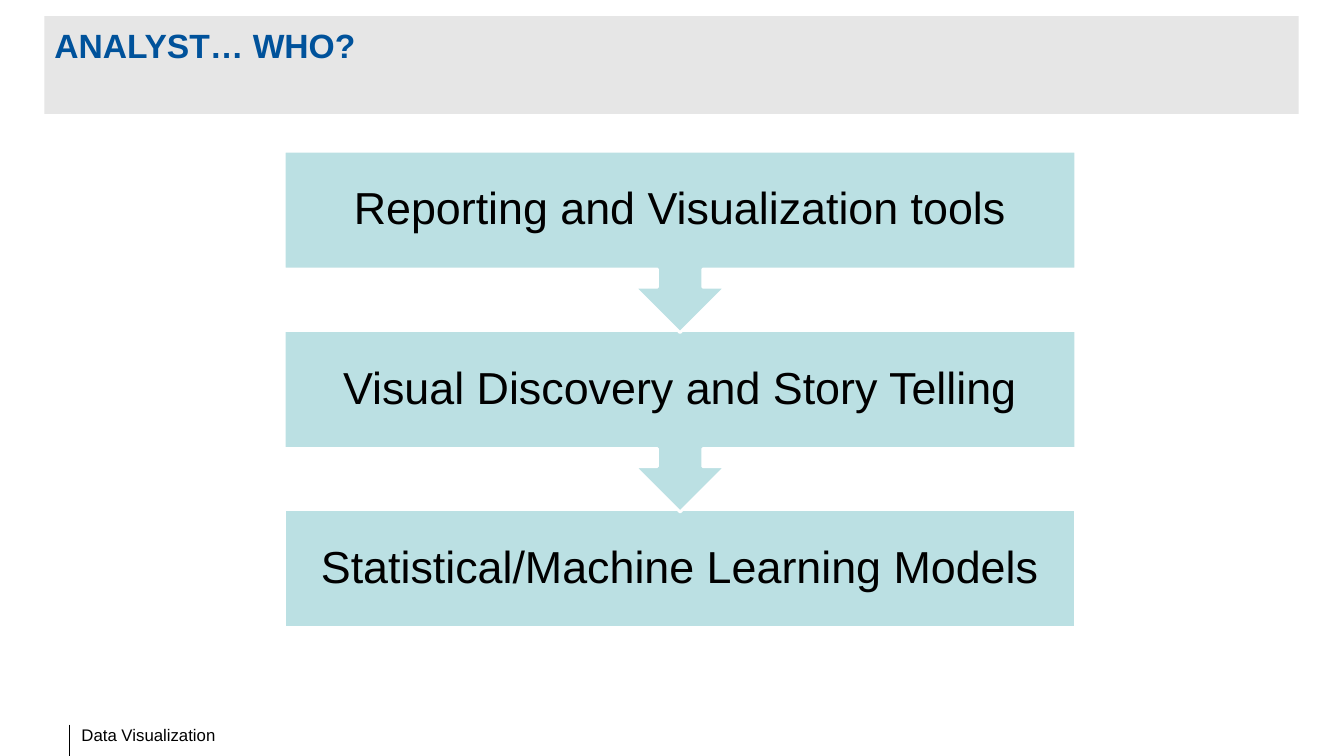
import pptx
import pptx.util
import pptx.dml.color
import pptx.enum.shapes
import pptx.enum.text

Inches = pptx.util.Inches
Pt = pptx.util.Pt
Color = pptx.dml.color.RGBColor
Kind = pptx.enum.shapes.MSO_SHAPE
Align = pptx.enum.text.PP_ALIGN
Anchor = pptx.enum.text.MSO_ANCHOR

BLACK = Color(0x00, 0x00, 0x00)
WHITE = Color(0xFF, 0xFF, 0xFF)
GRAY = Color(0xE6, 0xE6, 0xE6)
BLUE = Color(0x00, 0x52, 0x9B)
TEAL = Color(0xBB, 0xE0, 0xE3)


def write(shape, text, size, color, inset, bold=False):
    """Put one run of text in a shape; inset is left, top, right, bottom."""
    frame = shape.text_frame
    frame.word_wrap = True
    (frame.margin_left, frame.margin_top,
     frame.margin_right, frame.margin_bottom) = map(Inches, inset)
    para = frame.paragraphs[0]
    run = para.add_run()
    run.text = text
    run.font.name = "Arial"
    run.font.size = Pt(size)
    run.font.bold = bold
    run.font.color.rgb = color
    return para


deck = pptx.Presentation()
deck.slide_width = Inches(13.33)
deck.slide_height = Inches(7.5)
slide = deck.slides.add_slide(deck.slide_layouts[6])
shapes = slide.shapes

# Footer
rule = shapes.add_connector(pptx.enum.shapes.MSO_CONNECTOR.STRAIGHT,
                            Inches(0.69), Inches(7.19), Inches(0.69), Inches(7.5))
rule.line.color.rgb = BLACK
rule.line.width = Pt(0.75)
props = rule.element.spPr
props.append(props.makeelement(pptx.oxml.ns.qn("a:effectLst"), {}))
footer = shapes.add_textbox(Inches(0.71), Inches(7.14), Inches(4.13), Inches(0.3))
write(footer, "Data Visualization", 12, BLACK, (0.1, 0.05, 0, 0.05))

# Title band
band = shapes.add_shape(Kind.RECTANGLE, Inches(0.44), Inches(0.16),
                        Inches(12.44), Inches(0.97))
band.shadow.inherit = False
band.fill.solid()
band.fill.fore_color.rgb = GRAY
band.line.fill.background()
title = shapes.add_textbox(Inches(0.44), Inches(0.2), Inches(12.44), Inches(0.97))
write(title, "ANALYST… WHO?", 24, BLUE, (0.1, 0.05, 0.1, 0.05), bold=True)

# Steps, drawn bottom up so that each arrow tip lies over the next box
steps = ["Reporting and Visualization tools",
         "Visual Discovery and Story Telling",
         "Statistical/Machine Learning Models"]
last = len(steps) - 1
for i in range(last, -1, -1):
    kind, height = ((Kind.RECTANGLE, 1.17) if i == last
                    else (Kind.DOWN_ARROW_CALLOUT, 1.8))
    step = shapes.add_shape(kind, Inches(2.82), Inches(1.5 + 1.78 * i),
                            Inches(7.85), Inches(height))
    step.shadow.inherit = False
    step.fill.solid()
    step.fill.fore_color.rgb = TEAL
    step.line.color.rgb = WHITE
    step.line.width = Pt(2)
    step.text_frame.vertical_anchor = Anchor.MIDDLE
    para = write(step, steps[i], 32, BLACK, (0.25,) * 4)
    para.alignment = Align.CENTER
    para.line_spacing = 0.9

deck.save("out.pptx")
